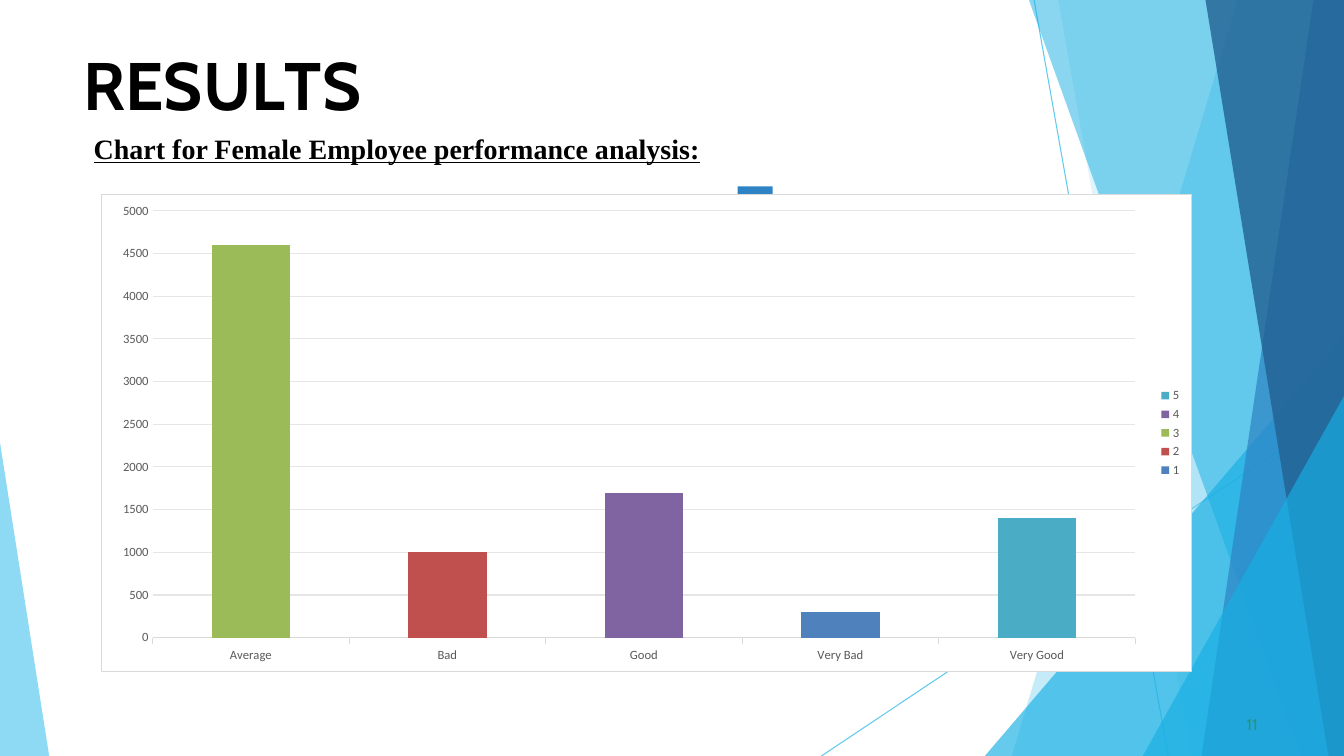
import dataclasses

import pptx
import pptx.chart.data
import pptx.dml.color
import pptx.enum.chart
import pptx.enum.shapes
import pptx.enum.text
import pptx.oxml
import pptx.oxml.ns
import pptx.util

Cm = pptx.util.Cm
Pt = pptx.util.Pt


@dataclasses.dataclass(frozen=True)
class Theme:
    """Colours, fonts and type sizes of the deck."""

    sky: str = "5FCAEE"
    cyan: str = "17AFE3"
    blue: str = "2D83C3"
    navy: str = "226192"
    green: str = "2D936B"
    ink: str = "000000"
    paper: str = "FFFFFF"
    label: str = "595959"
    rule: str = "D9D9D9"
    grid: str = "E6E6E6"
    ratings: tuple = ("4F81BD", "C0504D", "9BBB59", "8064A2", "4BACC6")
    display: str = "Cabin"
    serif: str = "Times New Roman"
    data: str = "Calibri"
    title_size: int = 48
    subtitle_size: int = 20
    number_size: int = 11
    label_size: int = 9
    hairline: float = 0.75


@dataclasses.dataclass(frozen=True)
class Box:
    """A region in centimetres."""

    left: float
    top: float
    width: float
    height: float

    def inside(self, left, top, width, height):
        """Return a box offset from this one."""
        return Box(self.left + left, self.top + top, width, height)

    def lengths(self):
        """Return left, top, width and height as lengths."""
        return [Cm(side) for side in dataclasses.astuple(self)]


THEME = Theme()
PAGE = Box(0, 0, 33.87, 19.05)


def rgb(colour):
    """Turn a hex string into a colour."""
    return pptx.dml.color.RGBColor.from_string(colour)


def xml(markup):
    """Build a chart or drawing element from its markup."""
    tag, rest = markup.split(">", 1)
    return pptx.oxml.parse_xml(f"{tag} {pptx.oxml.ns.nsdecls('a', 'c')}>{rest}")


def write(frame, pieces, *, size, font, colour, bold=False, underline=False,
          margins=(0, 0.03, 0, 0), before=0):
    """Fill a text frame with pairs of text and letter spacing in points."""
    frame.word_wrap = True
    frame.auto_size = pptx.enum.text.MSO_AUTO_SIZE.SHAPE_TO_FIT_TEXT
    frame.vertical_anchor = pptx.enum.text.MSO_ANCHOR.TOP
    (frame.margin_left, frame.margin_top,
     frame.margin_right, frame.margin_bottom) = [Cm(side) for side in margins]
    line = frame.paragraphs[0]
    line.alignment = pptx.enum.text.PP_ALIGN.LEFT
    line.space_before = Pt(before)
    for text, spacing in pieces:
        run = line.add_run()
        run.text = text
        run.font.size, run.font.name = Pt(size), font
        run.font.bold, run.font.underline = bold, underline
        run.font.color.rgb = rgb(colour)
        run.font._element.set("spc", str(round(spacing * 100)))


def add_facet(slide, corners, colour, opacity=100):
    """Draw a filled polygon through corners given in centimetres."""
    points = [(Cm(x), Cm(y)) for x, y in dict.fromkeys(corners)]
    outline = slide.shapes.build_freeform(*points[0])
    outline.add_line_segments(points[1:], close=True)
    facet = outline.convert_to_shape()
    facet.shadow.inherit = False
    facet.line.fill.background()
    facet.fill.solid()
    facet.fill.fore_color.rgb = rgb(colour)
    if opacity < 100:
        tint = facet._element.spPr.find(".//" + pptx.oxml.ns.qn("a:srgbClr"))
        tint.append(xml(f'<a:alpha val="{opacity * 1000}"></a:alpha>'))


def add_backdrop(slide, box):
    """Draw the thin rays and the translucent facets along the edges."""
    right, bottom = box.left + box.width, box.top + box.height
    for start_x, start_y, end_x in ((26.06, 0, 29.44), (right, 10.26, 20.7)):
        ray = slide.shapes.add_connector(
            pptx.enum.shapes.MSO_CONNECTOR.STRAIGHT,
            Cm(start_x), Cm(start_y), Cm(end_x), Cm(bottom))
        ray.line.color.rgb = rgb(THEME.sky)
        ray.line.width = Pt(THEME.hairline)
        ray._element.spPr.append(xml("<a:effectLst></a:effectLst>"))
    right_facets = (
        (31.19, 0, 25.5, THEME.sky, 36),
        (26.67, 0, 30.02, THEME.sky, 20),
        (right, 8.46, 24.82, THEME.cyan, 66),
        (25.93, 0, 32.79, THEME.cyan, 50),
        (33.1, 0, 30.28, THEME.blue, 70),
        (30.38, 0, 33.48, THEME.navy, 80),
        (right, 9.98, 28.8, THEME.cyan, 66),
    )
    for top_x, top_y, foot_x, colour, opacity in right_facets:
        add_facet(slide, [(right, top_y), (top_x, top_y), (foot_x, bottom),
                          (right, bottom)], colour, opacity)
    add_facet(slide, [(box.left, 11.15), (box.left, bottom),
                      (box.left + 1.24, bottom)], THEME.sky, 70)


def add_heading(slide, box):
    """Place the title, the underlined subtitle and the small marker."""
    title = slide.shapes.title
    title.left, title.top, title.width, title.height = box.inside(
        0, 0, box.width, 2.11).lengths()
    letters = [("R", 0), ("E", -0.4), ("S", 0.1), ("U", -0.3), ("L", -4), ("TS", 0)]
    write(title.text_frame, letters, size=THEME.title_size, font=THEME.display,
          colour=THEME.ink, bold=True, before=1.1)
    subtitle = slide.shapes.add_textbox(*box.inside(0, 2.11, 16.51, 1.12).lengths())
    write(subtitle.text_frame, [("Chart for Female Employee performance analysis:", 0)],
          size=THEME.subtitle_size, font=THEME.serif, colour=THEME.ink,
          bold=True, underline=True, margins=(0.25, 0.13, 0.25, 0.13))
    marker = slide.shapes.add_shape(pptx.enum.shapes.MSO_SHAPE.RECTANGLE,
                                    *box.inside(16.48, 3.63, 0.88, 0.9).lengths())
    marker.shadow.inherit = False
    marker.fill.solid()
    marker.fill.fore_color.rgb = rgb(THEME.blue)
    marker.line.fill.background()


def style_labels(font):
    """Give chart labels their common format."""
    font.size, font.name = Pt(THEME.label_size), THEME.data
    font.color.rgb = rgb(THEME.label)


def add_performance_chart(slide, box):
    """Draw the stacked columns, one rating for each category."""
    counts = {"Average": (3, 4600), "Bad": (2, 1000), "Good": (4, 1700),
              "Very Bad": (1, 300), "Very Good": (5, 1400)}
    performance = pptx.chart.data.CategoryChartData()
    performance.categories = list(counts)
    for rating in range(1, 6):
        performance.add_series(str(rating), [
            count if own == rating else 0 for own, count in counts.values()])
    chart = slide.shapes.add_chart(pptx.enum.chart.XL_CHART_TYPE.COLUMN_STACKED,
                                   *box.lengths(), performance).chart
    chart.has_title = False
    style_labels(chart.font)
    chart.has_legend = True
    chart.legend.position = pptx.enum.chart.XL_LEGEND_POSITION.RIGHT
    chart.legend.include_in_layout = False
    style_labels(chart.legend.font)

    plot = chart.plots[0]
    plot.gap_width, plot.overlap, plot.vary_by_categories = 150, 100, False
    for series, colour in zip(plot.series, THEME.ratings):
        series.format.fill.solid()
        series.format.fill.fore_color.rgb = rgb(colour)

    ticks = pptx.enum.chart.XL_TICK_MARK
    names, scale = chart.category_axis, chart.value_axis
    names.major_tick_mark, scale.major_tick_mark = ticks.OUTSIDE, ticks.NONE
    scale.minimum_scale, scale.maximum_scale, scale.major_unit = 0, 5000, 500
    scale.has_major_gridlines = True
    scale.format.line.fill.background()
    for line, colour in ((names.format.line, THEME.rule),
                         (scale.major_gridlines.format.line, THEME.grid)):
        line.color.rgb, line.width = rgb(colour), Pt(THEME.hairline)
    for axis in (names, scale):
        style_labels(axis.tick_labels.font)

    whole = chart._chartSpace.chart
    whole.addnext(xml(
        f'<c:spPr><a:solidFill><a:srgbClr val="{THEME.paper}"/></a:solidFill>'
        f'<a:ln w="{Pt(THEME.hairline)}"><a:solidFill><a:srgbClr val="{THEME.rule}"/>'
        "</a:solidFill></a:ln></c:spPr>"))
    for automatic in whole.plotArea.findall(pptx.oxml.ns.qn("c:layout")):
        whole.plotArea.remove(automatic)
    whole.plotArea.insert(0, xml(
        '<c:layout><c:manualLayout><c:layoutTarget val="inner"/>'
        '<c:xMode val="edge"/><c:yMode val="edge"/><c:x val="0.047"/>'
        '<c:y val="0.035"/><c:w val="0.901"/><c:h val="0.894"/>'
        "</c:manualLayout></c:layout>"))


def add_page_number(slide, box):
    """Write the page number in its box."""
    number = slide.shapes.add_textbox(*box.lengths())
    write(number.text_frame, [("11", 0.1)], size=THEME.number_size,
          font=THEME.display, colour=THEME.green, margins=(0.1, 0.03, 0, 0), before=0.6)


def main():
    """Build and save the results slide."""
    deck = pptx.Presentation()
    deck.slide_width, deck.slide_height = Cm(PAGE.width), Cm(PAGE.height)
    slide = deck.slides.add_slide(deck.slide_layouts.get_by_name("Title Only"))
    add_backdrop(slide, PAGE)
    add_heading(slide, PAGE.inside(2.11, 1.07, 29.67, 3.23))
    add_page_number(slide, PAGE.inside(31.32, 17.98, 0.64, 0.53))
    add_performance_chart(slide, PAGE.inside(2.54, 4.88, 27.51, 12.06))
    deck.save("out.pptx")


if __name__ == "__main__":
    main()
